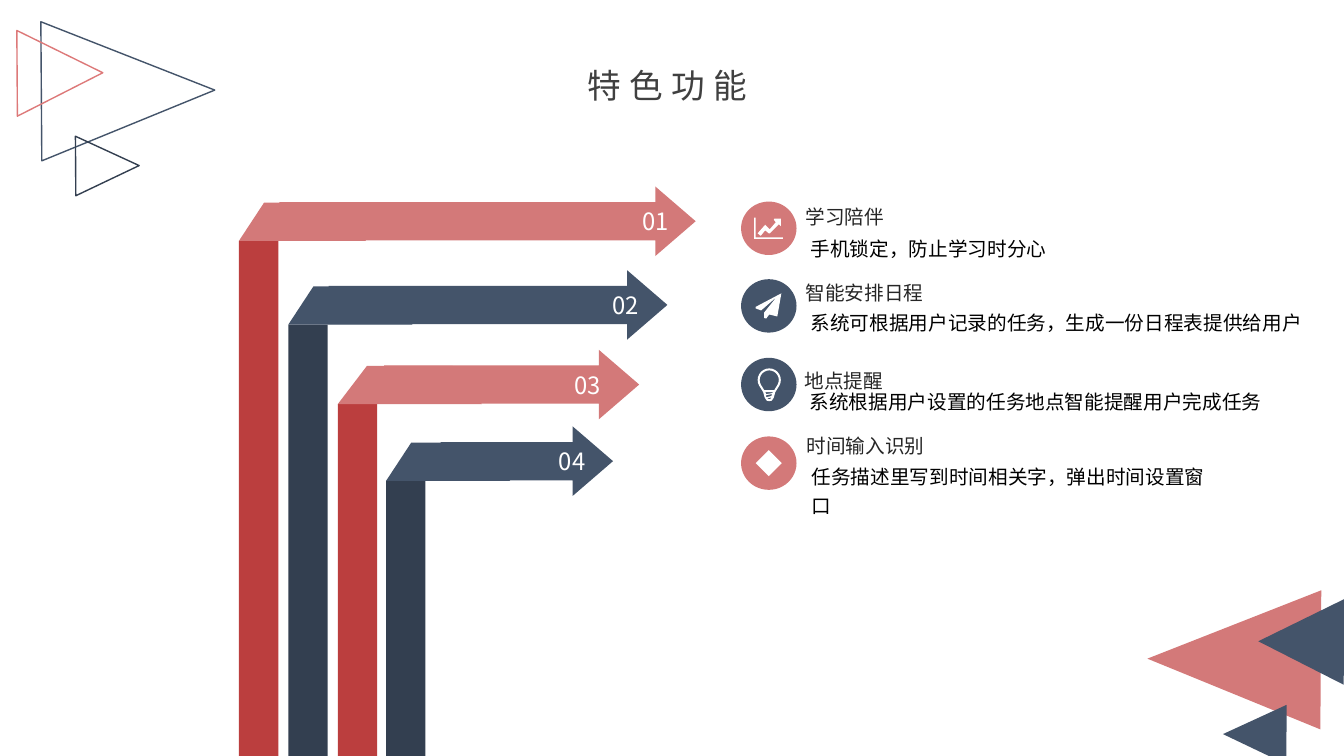
from dataclasses import dataclass
from math import cos, radians, sin

from lxml.etree import SubElement
from pptx import Presentation
from pptx.dml.color import RGBColor
from pptx.enum.shapes import MSO_SHAPE
from pptx.enum.text import MSO_ANCHOR, MSO_AUTO_SIZE, PP_ALIGN
from pptx.oxml.ns import qn
from pptx.util import Inches, Pt


@dataclass(frozen=True)
class Theme:
    font: str = "Noto Sans CJK SC"
    rose: str = "D37979"
    rose_line: str = "DD7979"
    red: str = "BB3E3E"
    slate: str = "44546A"
    navy: str = "333F50"
    white: str = "FFFFFF"
    black: str = "000000"
    caption: str = "262626"
    heading: str = "404040"
    title_size: int = 24
    number_size: int = 17
    body_size: int = 14


theme = Theme()
CELL = Inches(0.1)  # the slide is a grid of 133.3 columns and 75 rows
COLUMNS, ROWS = 133.3, 75

deck = Presentation()
deck.slide_width, deck.slide_height = round(COLUMNS * CELL), round(ROWS * CELL)
slide = deck.slides.add_slide(deck.slide_layouts[6])


def draw(form, box=None, fill=None, line=None, turn=0):
    """Draw a preset shape in a box, or closed contours given as lists of grid points."""
    if box:
        shape = slide.shapes.add_shape(form, *(round(side * CELL) for side in box))
    else:
        contours = [[(x * CELL, y * CELL) for x, y in contour] for contour in form]
        builder = slide.shapes.build_freeform(*contours[0][0])
        builder.add_line_segments(contours[0][1:])
        for contour in contours[1:]:
            builder.move_to(*contour[0])
            builder.add_line_segments(contour[1:])
        shape = builder.convert_to_shape()
    shape.shadow.inherit = False
    shape.rotation = turn
    if fill:
        shape.fill.solid()
        shape.fill.fore_color.rgb = RGBColor.from_string(fill)
    else:
        shape.fill.background()
    if line:
        shape.line.color.rgb = RGBColor.from_string(line)
        shape.line.width = Pt(1)
    else:
        shape.line.fill.background()
    return shape


def write(text, box, size, color, align=PP_ALIGN.LEFT, anchor=MSO_ANCHOR.TOP,
          inset=0, spacing=1.0, tracking=0, wrap=True):
    frame = slide.shapes.add_textbox(*(round(side * CELL) for side in box)).text_frame
    frame.word_wrap = wrap
    frame.auto_size = MSO_AUTO_SIZE.SHAPE_TO_FIT_TEXT
    frame.vertical_anchor = anchor
    frame.margin_left = frame.margin_right = round(inset * CELL)
    frame.margin_top = frame.margin_bottom = round(inset * CELL)
    paragraph = frame.paragraphs[0]
    paragraph.alignment = align
    paragraph.line_spacing = spacing
    run = paragraph.add_run()
    run.text = text
    run.font.size = Pt(size)
    run.font.color.rgb = RGBColor.from_string(color)
    run.font.name = theme.font
    properties = run._r.get_or_add_rPr()
    SubElement(properties, qn("a:ea")).set("typeface", theme.font)
    if tracking:
        properties.set("spc", str(tracking * 100))


# Corner triangles: filled ones point left, outlined ones point right
for box, color in [
    ((115.5, 56.8, 13.8, 17.2), theme.rose),
    ((121.5, 69.7, 5.9, 6.3), theme.slate),
    ((124.8, 59.4, 8.5, 8.5), theme.slate),
]:
    draw(MSO_SHAPE.ISOSCELES_TRIANGLE, box, fill=color, turn=270.4)
for box, color in [
    ((5.8, 0.4, 13.8, 17.2), theme.slate),
    ((7.7, 13.3, 5.9, 6.3), theme.navy),
    ((1.7, 3, 8.5, 8.5), theme.rose_line),
]:
    draw(MSO_SHAPE.ISOSCELES_TRIANGLE, box, line=color, turn=89.6)

# Folded arrows: a post, a slanted fold and an arrow with its number
ARROW_HEIGHT, FOLD_TOP, FOLD_BOTTOM, POST_WIDTH = 6.9, 1.6, 5.4, 3.9
NUMBER_WIDTH, NUMBER_HEIGHT = 2.9, 3.1
pairs = [(theme.rose, theme.red), (theme.slate, theme.navy)]
arrows = [  # post left, arrow top, arrow left, arrow tip, fold right, slant, number left
    (23.7, 18.5, 27.7, 69, 36.3, 2.5, 63.6),
    (28.6, 26.8, 32.6, 66.2, 40.9, 2.5, 60.6),
    (33.5, 34.7, 38.1, 63.4, 47.8, 2.9, 56.8),
    (38.3, 42.3, 43.7, 60.8, 50.6, 2.5, 55.3),
]
for index, (post, top, left, tip, fold_right, slant, number_left) in enumerate(arrows):
    light, dark = pairs[index % 2]
    upper, lower = top + FOLD_TOP, top + FOLD_BOTTOM
    draw(MSO_SHAPE.RECTANGLE, (post, lower, POST_WIDTH, ROWS - lower), fill=dark)
    arrow = draw(MSO_SHAPE.RIGHT_ARROW, (left, top, tip - left, ARROW_HEIGHT), fill=light)
    arrow.adjustments[0], arrow.adjustments[1] = 0.55, 0.58
    draw([[(post, lower), (post + slant, upper),
           (fold_right - slant, upper), (fold_right, lower)]], fill=light)
    write(f"{index + 1:02}",
          (number_left, top + (ARROW_HEIGHT - NUMBER_HEIGHT) / 2, NUMBER_WIDTH, NUMBER_HEIGHT),
          theme.number_size, theme.white, align=PP_ALIGN.CENTER,
          anchor=MSO_ANCHOR.MIDDLE, wrap=False)

# Icons, in tenths of a cell from the centre of their disc
trend = [
    [(-14.5, -10.5), (-13, -10.5), (-13, 9), (14, 9), (14, 10.5), (-14.5, 10.5)],
    [(12, -2), (10, -4), (1, 5), (0, 5), (-3.5, 2), (-8, 7.5), (-11, 5),
     (-3.5, -3.5), (1, 1), (7, -6), (5, -8.5), (5.5, -9.5), (12, -9.5)],
]
plane = [[(12.5, -12.5), (8.5, 10.5), (0.5, 8.5), (-2.5, 12.5), (-4.5, 12), (-4.5, 6.5),
          (8, -9), (-7.5, 4.5), (-13, 2.5), (-13, 1)]]
outer_glass, inner_glass = (
    [(0.5 + radius * cos(radians(angle)), -4.5 + radius * sin(radians(angle)))
     for angle in range(150, 391, 15)]
    for radius in (11.5, 9.5)
)
bulb = [
    outer_glass + [(6.5, 7.5), (5, 13), (3, 16), (0.5, 16.5), (-2, 16), (-4, 13), (-5.5, 7.5)],
    inner_glass + [(5.5, 5.5), (-4.5, 5.5)],
    [(-3.5, 7.5), (4.5, 7.5), (3.5, 8.5), (-2.5, 9.5)],
    [(-2.5, 10.5), (3.5, 9.5), (2.5, 11.5), (-2.5, 12.5)],
    [(-1.5, 13.8), (2.5, 12.8), (1.5, 14.5), (-0.5, 14.5)],
]
diamond = [[(0, -13), (13, 0), (0, 13), (-13, 0)]]

# Features: disc with icon, caption and detail
DISC_LEFT, DISC_WIDTH, DISC_HEIGHT = 73.5, 5.5, 5.3
features = [  # disc top, colour, icon, text left, caption top, detail top, detail width
    (20, theme.rose, trend, 79.9, 19.2, 22.5, 41.5,
     "学习陪伴", "手机锁定，防止学习时分心"),
    (27.7, theme.slate, plane, 79.9, 26.7, 29.9, 51.1,
     "智能安排日程", "系统可根据用户记录的任务，生成一份日程表提供给用户"),
    (35.5, theme.slate, bulb, 79.8, 35.4, 37.7, 47.2,
     "地点提醒", "系统根据用户设置的任务地点智能提醒用户完成任务"),
    (43.3, theme.rose, diamond, 80, 41.9, 45.2, 41.5,
     "时间输入识别", "任务描述里写到时间相关字，弹出时间设置窗口"),
]
for disc_top, color, icon, left, caption_top, detail_top, width, caption, detail in features:
    draw(MSO_SHAPE.OVAL, (DISC_LEFT, disc_top, DISC_WIDTH, DISC_HEIGHT), fill=color)
    center_x, center_y = DISC_LEFT + DISC_WIDTH / 2, disc_top + DISC_HEIGHT / 2
    draw([[(center_x + x / 10, center_y + y / 10) for x, y in contour] for contour in icon],
         fill=theme.white)
    write(caption, (left, caption_top, 20.3, 2.6), theme.body_size, theme.caption, spacing=1.5)
    write(detail, (left, detail_top, width, 3.6), theme.body_size, theme.black,
          inset=0.5, spacing=1.2)

write("特色功能", (45.7, 6.3, 40.9, 4.3), theme.title_size, theme.heading,
      align=PP_ALIGN.CENTER, anchor=MSO_ANCHOR.MIDDLE, tracking=6)

deck.save("out.pptx")
